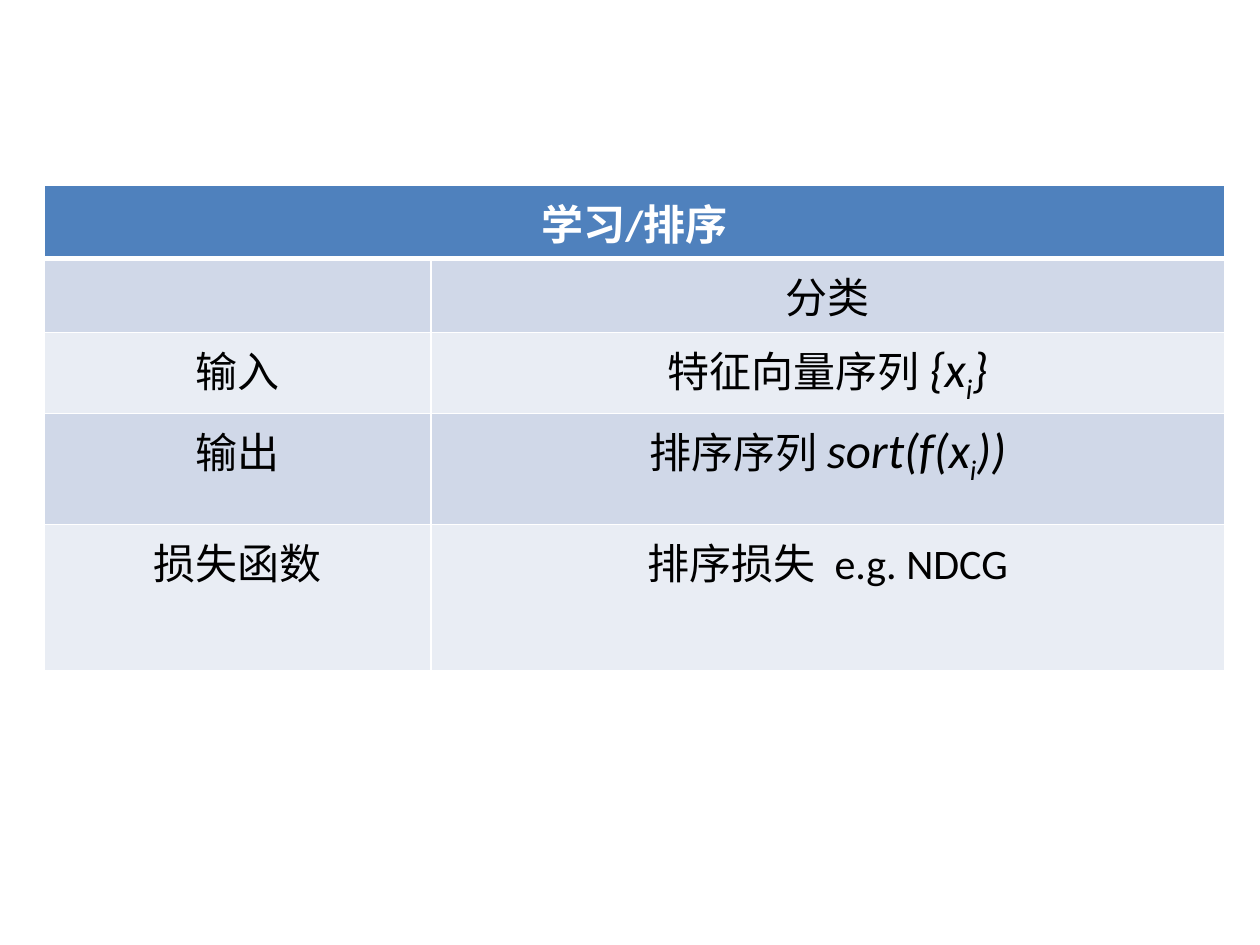
"""Build a slide with a table summarising learning to rank."""
from lxml import etree
from pptx import Presentation
from pptx.dml.color import RGBColor
from pptx.enum import text
from pptx.oxml import ns
from pptx.util import Inches, Pt

HEADER_BLUE = RGBColor(0x4F, 0x81, 0xBD)
BAND_DARK = RGBColor(0xD0, 0xD8, 0xE8)
BAND_LIGHT = RGBColor(0xE9, 0xED, 0xF4)
WHITE = RGBColor(0xFF, 0xFF, 0xFF)
BLACK = RGBColor(0x00, 0x00, 0x00)

PLAIN = {"size": Pt(24), "italic": False}
MATH = {"size": Pt(28), "italic": True}
COLUMN_WIDTHS = [3.07, 6.3]
ROW_HEIGHTS = [0.53, 0.53, 0.53, 0.88, 1.16]
ROWS = [
    [[("学习/排序", PLAIN, 0)], []],
    [[], [("分类", PLAIN, 0)]],
    [[("输入", PLAIN, 0)],
     [("特征向量序列 ", PLAIN, 0), ("{x", MATH, 0), ("i", MATH, -25), ("}", MATH, 0)]],
    [[("输出", PLAIN, 0)],
     [("排序序列 ", PLAIN, 0), ("sort(f(x", MATH, 0), ("i", MATH, -25), ("))", MATH, 0)]],
    [[("损失函数", PLAIN, 0)], [("排序损失  e.g. NDCG", PLAIN, 0)]],
]


def add_border(cell, side, width):
    properties = cell._tc.get_or_add_tcPr()
    line = etree.SubElement(properties, ns.qn(f"a:ln{side}"), w=str(Pt(width)))
    fill = etree.SubElement(line, ns.qn("a:solidFill"))
    etree.SubElement(fill, ns.qn("a:srgbClr"), val=str(WHITE))


presentation = Presentation()
presentation.slide_width = Inches(10)
presentation.slide_height = Inches(7.5)
slide = presentation.slides.add_slide(presentation.slide_layouts[6])

table = slide.shapes.add_table(
    len(ROW_HEIGHTS), len(COLUMN_WIDTHS), Inches(0.35), Inches(1.47),
    Inches(sum(COLUMN_WIDTHS)), Inches(sum(ROW_HEIGHTS))).table
for column, width in zip(table.columns, COLUMN_WIDTHS):
    column.width = Inches(width)
for row, height in zip(table.rows, ROW_HEIGHTS):
    row.height = Inches(height)
table.cell(0, 0).merge(table.cell(0, 1))

for row_index, row in enumerate(ROWS):
    is_header = row_index == 0
    band = BAND_DARK if row_index % 2 else BAND_LIGHT
    for column_index, runs in enumerate(row):
        cell = table.cell(row_index, column_index)
        for side in "LRTB":
            is_header_edge = (row_index, side) in [(0, "B"), (1, "T")]
            add_border(cell, side, 3 if is_header_edge else 1)
        cell.fill.solid()
        cell.fill.fore_color.rgb = HEADER_BLUE if is_header else band
        paragraph = cell.text_frame.paragraphs[0]
        paragraph.alignment = text.PP_ALIGN.CENTER
        for wording, style, baseline in runs:
            run = paragraph.add_run()
            run.text = wording
            for name, value in {"name": "Calibri", "bold": is_header, **style}.items():
                setattr(run.font, name, value)
            run.font.color.rgb = WHITE if is_header else BLACK
            if baseline:
                run._r.get_or_add_rPr().set("baseline", str(baseline * 1000))

presentation.save("out.pptx")
